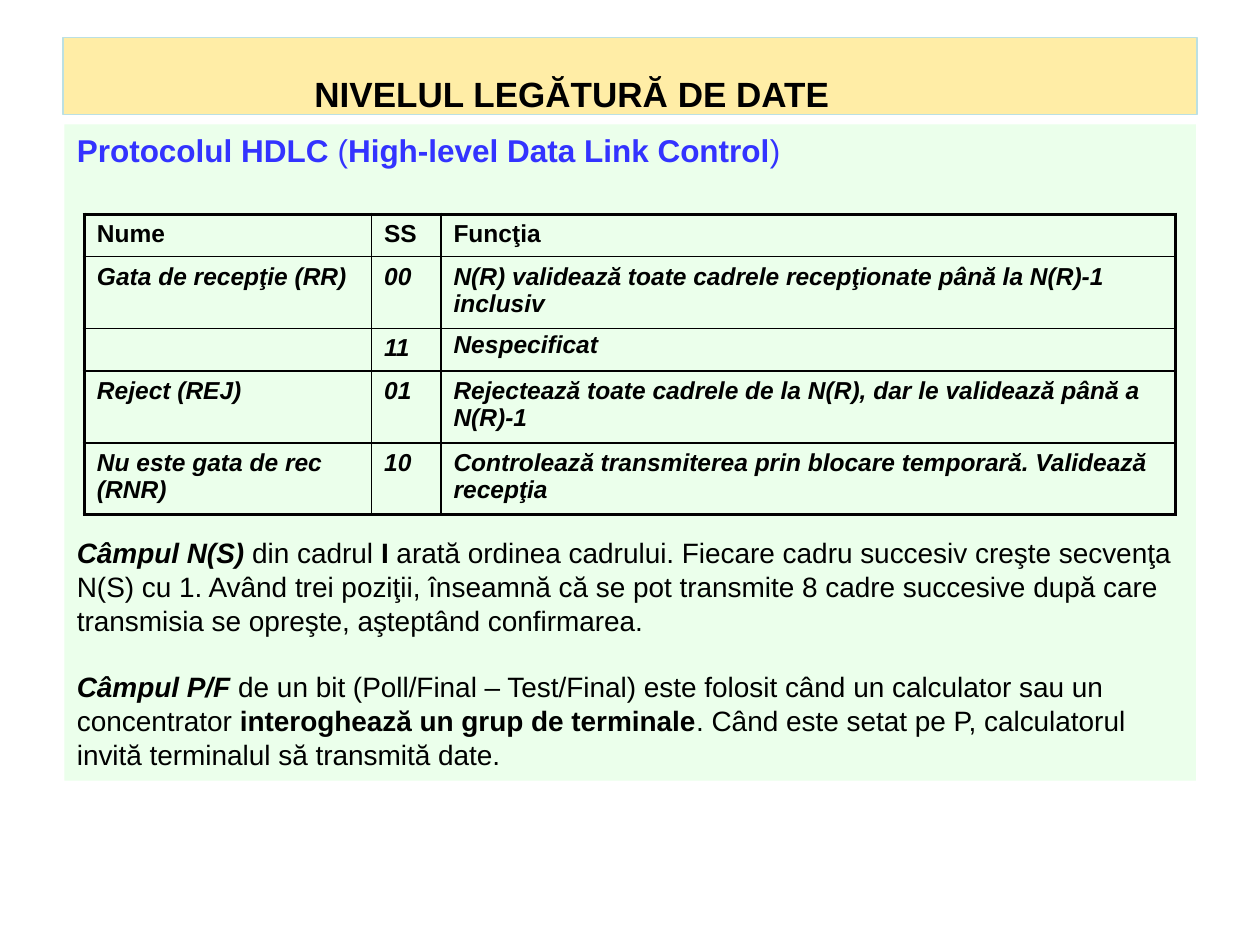
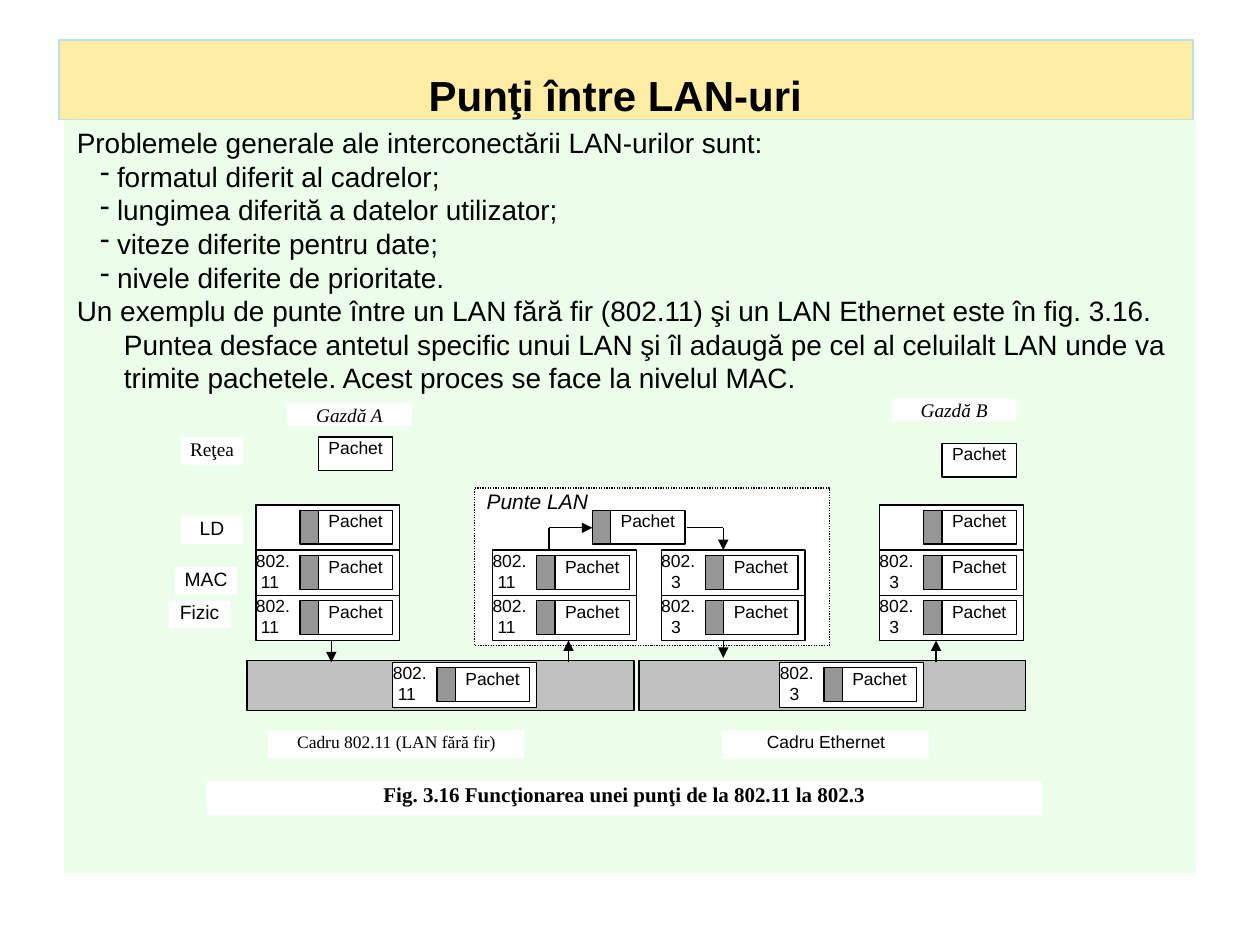
from dataclasses import dataclass
from typing import NamedTuple, Optional

from lxml.etree import SubElement
from pptx import Presentation
from pptx.dml.color import RGBColor
from pptx.enum.dml import MSO_LINE
from pptx.enum.shapes import MSO_CONNECTOR, MSO_SHAPE
from pptx.enum.text import MSO_ANCHOR, PP_ALIGN
from pptx.oxml.ns import qn
from pptx.util import Cm, Pt


@dataclass(frozen=True)
class Theme:
    title_fill: str = "FFCC00"
    title_opacity: int = 35
    title_line: str = "BBE0E3"
    body_fill: str = "CCFFCC"
    body_opacity: int = 39
    heading: str = "3333FF"
    ink: str = "000000"
    paper: str = "FFFFFF"
    wire: str = "C0C0C0"
    frame_header: str = "969696"
    sans: str = "Arial"
    serif: str = "Times New Roman"
    thin: float = 0.75
    table_inner: float = 1
    table_outer: float = 2.25
    heading_size: int = 18
    body_size: int = 16
    table_size: int = 14
    caption_size: int = 12
    label_size: int = 11
    packet_size: int = 10


THEME = Theme()


class Box(NamedTuple):
    """Left, top, width and height in centimetres."""
    left: float
    top: float
    width: float
    height: float


class TextRun(NamedTuple):
    text: str
    bold: bool = False
    italic: bool = False
    size: float = THEME.body_size
    color: str = THEME.ink
    font: str = THEME.sans


class Label(NamedTuple):
    box: Box
    run: TextRun


class Frame(NamedTuple):
    """A packet with its header, inside an outline unless outlined is False."""
    left: float
    top: float
    standard: str = ""
    outlined: bool = True


class Line(NamedTuple):
    start: tuple[float, float]
    end: tuple[float, float]
    arrow: bool = True


def add_box(slide, box: Box, fill: str, line: Optional[str] = None,
            opacity: int = 100, inset: float = 0):
    """Add a rectangle with top-anchored, wrapped text."""
    shape = slide.shapes.add_shape(MSO_SHAPE.RECTANGLE, *map(Cm, box))
    shape.shadow.inherit = False
    shape.fill.solid()
    shape.fill.fore_color.rgb = RGBColor.from_string(fill)
    if opacity < 100:
        color = shape.fill._xPr.find(qn("a:solidFill"))[0]
        SubElement(color, qn("a:alpha"), val=str(opacity * 1000))
    if line:
        shape.line.color.rgb = RGBColor.from_string(line)
        shape.line.width = Pt(THEME.thin)
    else:
        shape.line.fill.background()
    frame = shape.text_frame
    frame.word_wrap = True
    frame.vertical_anchor = MSO_ANCHOR.TOP
    frame.margin_left = frame.margin_right = Cm(inset)
    frame.margin_top = frame.margin_bottom = Cm(inset / 2)
    return shape


def write(paragraph, *runs: TextRun, align: PP_ALIGN = PP_ALIGN.LEFT) -> None:
    paragraph.alignment = align
    for item in runs:
        run = paragraph.add_run()
        run.text = item.text
        run.font.name = item.font
        run.font.size = Pt(item.size)
        run.font.bold = item.bold
        run.font.italic = item.italic
        run.font.color.rgb = RGBColor.from_string(item.color)


def set_indent(paragraph, left: float, first: float = 0, bullet: str = "") -> None:
    properties = paragraph._p.get_or_add_pPr()
    properties.set("marL", str(Cm(left)))
    properties.set("indent", str(Cm(first)))
    if bullet:
        SubElement(properties, qn("a:buChar"), char=bullet)


def add_title(slide, box: Box, text: str, size: int, right_inset: float) -> None:
    shape = add_box(slide, box, THEME.title_fill, THEME.title_line, THEME.title_opacity)
    shape.text_frame.vertical_anchor = MSO_ANCHOR.BOTTOM
    shape.text_frame.margin_right = Cm(right_inset)
    write(shape.text_frame.paragraphs[0], TextRun(text, bold=True, size=size),
          align=PP_ALIGN.CENTER)


def add_body(slide, top: float, height: float):
    box = Box(1.3, top, 22.81, height)
    return add_box(slide, box, THEME.body_fill, opacity=THEME.body_opacity,
                   inset=0.25).text_frame


def add_label(slide, label: Label, line: Optional[str] = None) -> None:
    shape = add_box(slide, label.box, THEME.paper, line)
    write(shape.text_frame.paragraphs[0], label.run, align=PP_ALIGN.CENTER)


def add_packet(slide, left: float, top: float) -> None:
    run = TextRun("Pachet", size=THEME.packet_size)
    add_label(slide, Label(Box(left, top, 1.5, 0.68), run), THEME.ink)


def add_frame(slide, frame: Frame) -> None:
    if frame.outlined:
        outline = add_box(slide, Box(frame.left, frame.top, 2.9, 0.91),
                          THEME.paper, THEME.ink)
        if frame.standard:
            family, number = frame.standard.split(".")
            text_frame = outline.text_frame
            write(text_frame.paragraphs[0],
                  TextRun(family + ".", size=THEME.packet_size))
            second = text_frame.add_paragraph()
            set_indent(second, 0.1 if len(number) == 2 else 0.2)
            write(second, TextRun(number, size=THEME.packet_size))
    top = frame.top + 0.11
    add_packet(slide, frame.left + 1.26, top)
    add_box(slide, Box(frame.left + 0.89, top, 0.37, 0.68), THEME.frame_header, THEME.ink)


def add_line(slide, line: Line) -> None:
    connector = slide.shapes.add_connector(
        MSO_CONNECTOR.STRAIGHT, *map(Cm, line.start + line.end))
    connector.line.color.rgb = RGBColor.from_string(THEME.ink)
    connector.line.width = Pt(THEME.thin)
    if line.arrow:
        SubElement(connector.line._get_or_add_ln(), qn("a:tailEnd"), type="triangle")
    SubElement(connector._element.spPr, qn("a:effectLst"))


def set_border(cell, side: str, width: float) -> None:
    border = SubElement(cell._tc.get_or_add_tcPr(), qn(f"a:ln{side}"), w=str(Pt(width)))
    SubElement(SubElement(border, qn("a:solidFill")), qn("a:srgbClr"), val=THEME.ink)


FUNCTION_ROWS = (
    ("Nume", "SS", "Funcţia"),
    ("Gata de recepţie (RR)", "00",
     "N(R) validează toate cadrele recepţionate până la N(R)-1 inclusiv"),
    ("", "11", "Nespecificat"),
    ("Reject (REJ)", "01",
     "Rejectează toate cadrele de la N(R), dar le validează până a N(R)-1"),
    ("Nu este gata de rec (RNR)", "10",
     "Controlează transmiterea prin blocare temporară. Validează recepţia"),
)
COLUMN_WIDTHS = (5.79, 1.4, 14.81)
ROW_HEIGHTS = (0.85, 1.45, 0.85, 1.45, 1.45)


def add_function_table(slide) -> None:
    box = Box(1.7, 4.32, sum(COLUMN_WIDTHS), sum(ROW_HEIGHTS))
    table = slide.shapes.add_table(
        len(ROW_HEIGHTS), len(COLUMN_WIDTHS), *map(Cm, box)).table
    table.first_row = table.horz_banding = False
    for column, width in zip(table.columns, COLUMN_WIDTHS):
        column.width = Cm(width)
    last_row, last_column = len(ROW_HEIGHTS) - 1, len(COLUMN_WIDTHS) - 1
    for row, texts in enumerate(FUNCTION_ROWS):
        table.rows[row].height = Cm(ROW_HEIGHTS[row])
        for column, text in enumerate(texts):
            cell = table.cell(row, column)
            outer = {"L": column == 0, "R": column == last_column,
                     "T": row == 0, "B": row == last_row}
            for side, is_outer in outer.items():
                set_border(cell, side,
                           THEME.table_outer if is_outer else THEME.table_inner)
            cell.fill.background()
            paragraph = cell.text_frame.paragraphs[0]
            if text:
                write(paragraph, TextRun(text, bold=True, italic=row > 0,
                                         size=THEME.table_size))
            else:
                SubElement(paragraph._p, qn("a:endParaRPr"),
                           sz=str(THEME.table_size * 100))
            if text == "Nespecificat":
                paragraph.line_spacing = 0.85


def build_hdlc_slide(slide) -> None:
    add_title(slide, Box(1.27, 0.76, 22.86, 1.55), "NIVELUL LEGĂTURĂ DE DATE", 20, 2.34)
    body = add_body(slide, 2.51, 13.23)
    heading = {"size": THEME.heading_size, "color": THEME.heading}
    write(body.paragraphs[0],
          TextRun("Protocolul HDLC", True, **heading), TextRun(" (", **heading),
          TextRun("High-level Data Link Control", True, **heading),
          TextRun(")", **heading))
    sequence_field = (
        TextRun("Câmpul N(S)", True, True), TextRun(" din cadrul "), TextRun("I", True),
        TextRun(" arată ordinea cadrului. Fiecare cadru succesiv creşte secvenţa N(S) "
                "cu 1. Având trei poziţii, înseamnă că se pot transmite 8 cadre "
                "succesive după care transmisia se opreşte, aşteptând confirmarea."))
    poll_field = (
        TextRun("Câmpul P/F", True, True),
        TextRun(" de un bit (Poll/Final – Test/Final) este folosit când un calculator "
                "sau un concentrator "),
        TextRun("interoghează un grup de terminale", True),
        TextRun(". Când este setat pe P, calculatorul invită terminalul să transmită "
                "date."))
    for space, runs in ((210, sequence_field), (19, poll_field)):
        paragraph = body.add_paragraph()
        paragraph.space_before = Pt(space)
        write(paragraph, *runs)
    add_function_table(slide)


HOST_A, BRIDGE_IN, BRIDGE_OUT, HOST_B = 5.16, 9.93, 13.33, 17.73
LINK_ROW, MAC_ROW, PHYSICAL_ROW = (10.18 + 0.91 * row for row in range(3))
WIRE_ROW = 13.35
STACKS = ((HOST_A, "802.11"), (BRIDGE_IN, "802.11"),
          (BRIDGE_OUT, "802.3"), (HOST_B, "802.3"))
FRAMES = (
    *(Frame(left, row, standard) for left, standard in STACKS
      for row in (MAC_ROW, PHYSICAL_ROW)),
    *(Frame(left, LINK_ROW) for left in (HOST_A, HOST_B)),
    Frame(11.05, LINK_ROW, outlined=False),
    Frame(7.92, WIRE_ROW, "802.11"),
    Frame(15.72, WIRE_ROW, "802.3"),
)
LABELS = (
    *(Label(Box(left, top, 1.25, 0.56), TextRun(text, size=THEME.label_size, font=font))
      for left, top, text, font in (
          (3.65, 8.81, "Reţea", THEME.serif), (3.65, 10.41, "LD", THEME.sans),
          (3.53, 11.43, "MAC", THEME.sans), (3.4, 12.11, "Fizic", THEME.sans))),
    *(Label(Box(left, top, 2.51, 0.46),
            TextRun(text, italic=True, size=THEME.label_size, font=THEME.serif))
      for left, top, text in ((5.79, 8.13, "Gazdă A"), (17.98, 8.03, "Gazdă B"))),
    Label(Box(5.41, 14.73, 5.16, 0.56),
          TextRun("Cadru 802.11 (LAN fără fir)", size=THEME.packet_size,
                  font=THEME.serif)),
    Label(Box(14.58, 14.73, 4.14, 0.56),
          TextRun("Cadru Ethernet", size=THEME.packet_size)),
    Label(Box(4.17, 15.75, 16.84, 0.69),
          TextRun("Fig. 3.16 Funcţionarea unei punţi de la 802.11 la 802.3",
                  bold=True, size=THEME.caption_size, font=THEME.serif)),
)
LINES = (
    Line((11.07, 10.64), (11.94, 10.64)),
    Line((11.07, 10.64), (11.07, MAC_ROW), arrow=False),
    Line((13.84, 10.64), (14.58, 10.64), arrow=False),
    Line((14.58, 10.64), (14.58, MAC_ROW)),
    Line((6.68, 12.91), (6.68, WIRE_ROW)),
    Line((11.46, WIRE_ROW), (11.46, 12.91)),
    Line((14.58, 12.91), (14.58, 13.26)),
    Line((18.87, WIRE_ROW), (18.87, 12.91)),
)


def add_bridge_diagram(slide) -> None:
    bridge = add_box(slide, Box(9.56, 9.84, 7.16, 3.17), THEME.paper, THEME.ink)
    bridge.line.dash_style = MSO_LINE.ROUND_DOT
    bridge.text_frame.margin_left = Cm(0.25)
    write(bridge.text_frame.paragraphs[0],
          TextRun("Punte LAN", italic=True, size=THEME.caption_size))
    for left in (4.98, 12.88):
        add_box(slide, Box(left, 13.31, 7.8, 1.02), THEME.wire, THEME.ink)
    for frame in FRAMES:
        add_frame(slide, frame)
    for left, top in ((6.42, 8.81), (18.99, 8.94)):
        add_packet(slide, left, top)
    for label in LABELS:
        add_label(slide, label)
    for line in LINES:
        add_line(slide, line)


def build_bridge_slide(slide) -> None:
    add_title(slide, Box(1.19, 0.81, 22.86, 1.6), "Punţi între LAN-uri", 24, 0.43)
    body = add_body(slide, 2.41, 15.19)
    write(body.paragraphs[0],
          TextRun("Problemele generale ale interconectării LAN-urilor sunt:"))
    for problem in ("formatul diferit al cadrelor;",
                    "lungimea diferită a datelor utilizator;",
                    "viteze diferite pentru date;",
                    "nivele diferite de prioritate."):
        paragraph = body.add_paragraph()
        set_indent(paragraph, 0.81, -0.34, "-")
        write(paragraph, TextRun(problem))
    example = body.add_paragraph()
    set_indent(example, 0.95, -0.95)
    write(example, TextRun(
        "Un exemplu de punte între un LAN fără fir (802.11) şi un LAN Ethernet este în "
        "fig. 3.16. Puntea desface antetul specific unui LAN şi îl adaugă pe cel al "
        "celuilalt LAN unde va trimite pachetele. Acest proces se face la nivelul MAC."))
    add_bridge_diagram(slide)


def main() -> None:
    presentation = Presentation()
    presentation.slide_width, presentation.slide_height = Cm(25.4), Cm(19.05)
    blank = presentation.slide_layouts[6]
    for build in (build_hdlc_slide, build_bridge_slide):
        build(presentation.slides.add_slide(blank))
    presentation.save("out.pptx")


if __name__ == "__main__":
    main()
